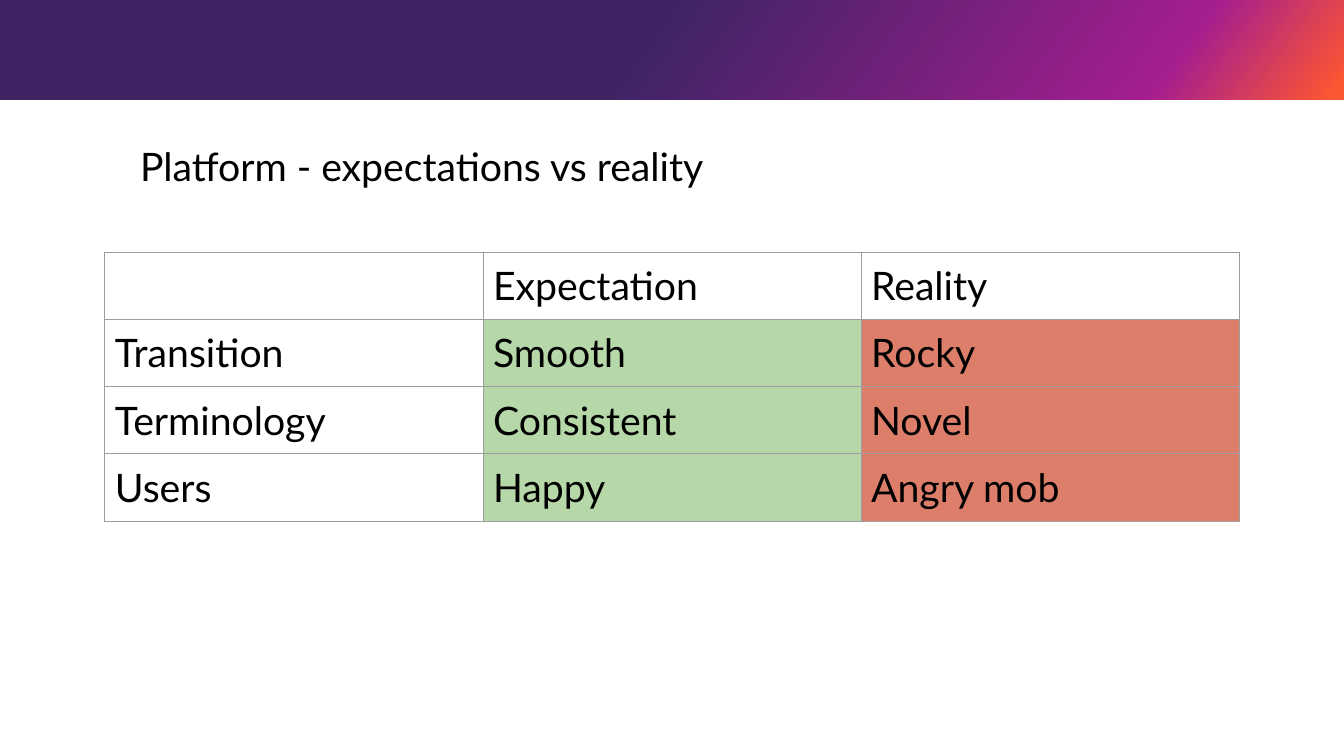
from lxml import etree
from pptx import Presentation
from pptx.dml.color import RGBColor
from pptx.enum.shapes import MSO_SHAPE
from pptx.enum.text import MSO_ANCHOR
from pptx.oxml import parse_xml
from pptx.oxml.ns import nsdecls, qn
from pptx.util import Inches, Pt

RECTANGLE = MSO_SHAPE.RECTANGLE
MIDDLE = MSO_ANCHOR.MIDDLE

COLORS = {
    "text": "000000",
    "border": "9E9E9E",
    "expectation": "B6D7A8",
    "reality": "DD7E6B",
    "indigo": "3F2464",
    "magenta": "A41E8F",
    "orange": "FD5632",
}
BANNER_STOPS = [(0, "indigo"), (48, "indigo"), (86, "magenta"), (99, "orange"), (100, "orange")]
BANNER_ANGLE = 36
ROWS = [
    ("", "Expectation", "Reality"),
    ("Transition", "Smooth", "Rocky"),
    ("Terminology", "Consistent", "Novel"),
    ("Users", "Happy", "Angry mob"),
]
COLUMN_FILLS = [None, "expectation", "reality"]
COLUMN_WIDTH = 3.75
ROW_HEIGHT = 0.66


def write(paragraph, text):
    """Set the slide's one text style and add the text as a run."""
    paragraph.font.size = Pt(28)
    if text:
        run = paragraph.add_run()
        run.text = text
        run.font.name = "Lato"
        run.font.size = Pt(28)
        run.font.color.rgb = RGBColor.from_string(COLORS["text"])


def add_borders(cell):
    properties = cell._tc.get_or_add_tcPr()
    for side in ("lnL", "lnR", "lnT", "lnB"):
        line = etree.SubElement(properties, qn(f"a:{side}"), w=str(Pt(0.75)))
        fill = etree.SubElement(line, qn("a:solidFill"))
        etree.SubElement(fill, qn("a:srgbClr"), val=COLORS["border"])


prs = Presentation()
prs.slide_width = Inches(13.33)
prs.slide_height = Inches(7.5)
slide = prs.slides.add_slide(prs.slide_layouts[6])

# Gradient banner
banner = slide.shapes.add_shape(RECTANGLE, 0, 0, prs.slide_width, Inches(0.99))
banner.shadow.inherit = False
banner.line.fill.background()
banner.fill.gradient()
banner.fill.gradient_angle = 360 - BANNER_ANGLE  # counter-clockwise
stops = "".join(
    f'<a:gs pos="{position * 1000}"><a:srgbClr val="{COLORS[color]}"/></a:gs>'
    for position, color in BANNER_STOPS
)
gradient = banner._element.spPr.find(qn("a:gradFill"))
gradient.replace(
    gradient.find(qn("a:gsLst")),
    parse_xml(f'<a:gsLst {nsdecls("a")}>{stops}</a:gsLst>'),
)

# Title
title = slide.shapes.add_textbox(Inches(1.29), Inches(1.42), Inches(10.21), Inches(0.5))
title.text_frame.word_wrap = True
title.text_frame.vertical_anchor = MIDDLE
heading = title.text_frame.paragraphs[0]
heading.line_spacing = 0.9
write(heading, "Platform - expectations vs reality")

# Comparison table
comparison = slide.shapes.add_table(
    len(ROWS), len(COLUMN_FILLS), Inches(1.04), Inches(2.5),
    Inches(COLUMN_WIDTH * len(COLUMN_FILLS)), Inches(ROW_HEIGHT * len(ROWS)),
).table
comparison.first_row = False
comparison.horz_banding = False
for column in comparison.columns:
    column.width = Inches(COLUMN_WIDTH)
for row_index, texts in enumerate(ROWS):
    comparison.rows[row_index].height = Inches(ROW_HEIGHT)
    for column_index, text in enumerate(texts):
        cell = comparison.cell(row_index, column_index)
        cell.margin_left = cell.margin_right = Inches(0.1)
        cell.margin_top = cell.margin_bottom = Inches(0.1)
        add_borders(cell)
        fill_name = COLUMN_FILLS[column_index]
        if row_index > 0 and fill_name:
            cell.fill.solid()
            cell.fill.fore_color.rgb = RGBColor.from_string(COLORS[fill_name])
        else:
            cell.fill.background()
        write(cell.text_frame.paragraphs[0], text)

prs.save("out.pptx")
